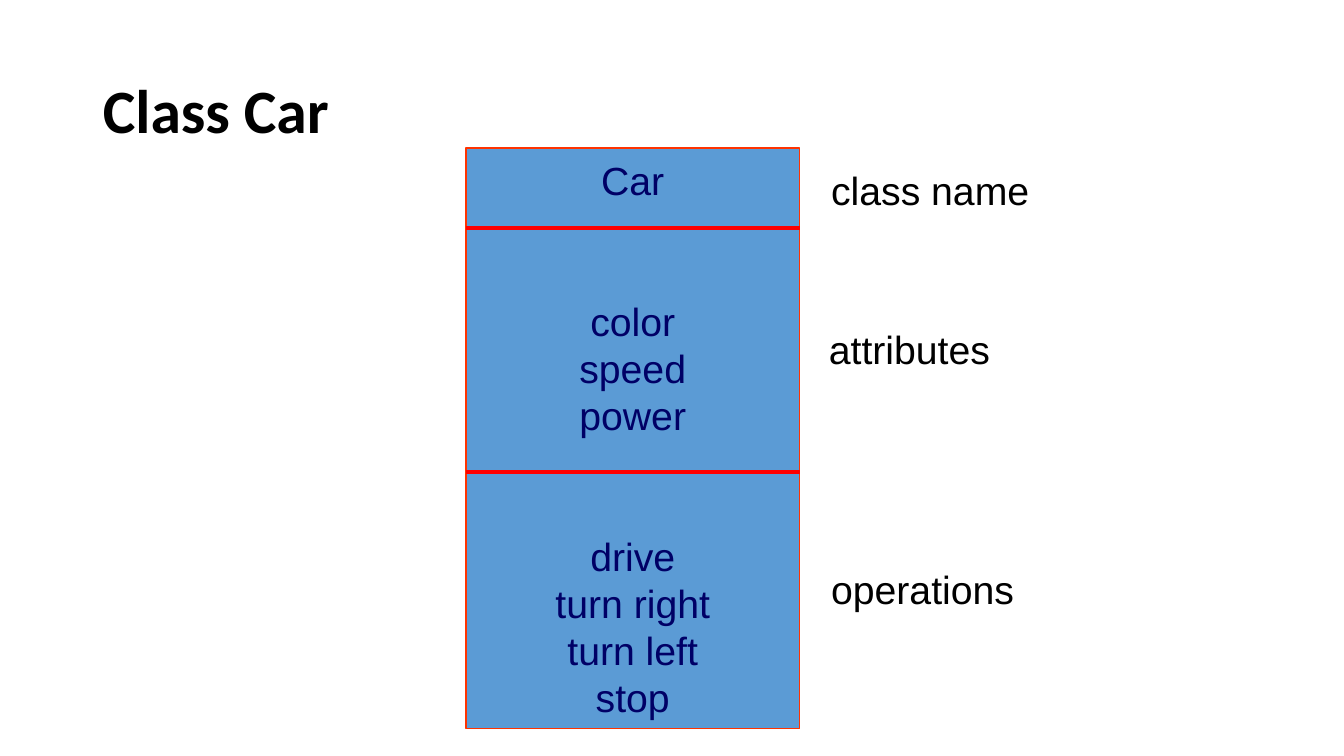
from pptx import Presentation
from pptx.dml.color import RGBColor
from pptx.enum.shapes import MSO_CONNECTOR, MSO_SHAPE
from pptx.enum.text import MSO_ANCHOR, PP_ALIGN
from pptx.oxml.ns import qn
from pptx.util import Inches, Pt
from lxml import etree

RECT, LINE = MSO_SHAPE.RECTANGLE, MSO_CONNECTOR.STRAIGHT
MIDDLE, LEFT, CENTER = MSO_ANCHOR.MIDDLE, PP_ALIGN.LEFT, PP_ALIGN.CENTER

TITLE = "Class Car"
PARTS = [
    ["Car"],
    ["color", "speed", "power"],
    ["drive", "turn right", "turn left", "stop"],
]
LABELS = [  # text, left, top, width
    ("class name", 8.13, 1.6, 2.19),
    ("attributes", 8.11, 3.18, 1.82),
    ("operations", 8.13, 5.56, 2.04),
]
RULES = [2.26, 4.68]
BOX = (4.62, 1.47, 3.31, 5.76)
PITCH = 33.6
GAP = 2 * PITCH
COLORS = {"fill": "5B9BD5", "edge": "FF3300", "rule": "FF0000",
          "navy": "000066", "black": "000000"}
HEAD = {"name": "Calibri", "size": Pt(44), "bold": True}
BODY = {"name": "Arial", "size": Pt(28), "bold": False}


def color(name):
    return RGBColor.from_string(COLORS[name])


def style(para, font, tint, align):
    for key, value in font.items():
        setattr(para.font, key, value)
    para.font.color.rgb = color(tint)
    para.alignment = align


def add_title(slide):
    title = slide.shapes.title
    title.left, title.top, title.width, title.height = map(
        Inches, (0.92, 0.4, 11.5, 1.45))
    frame = title.text_frame
    frame.text = TITLE
    frame.vertical_anchor = MIDDLE
    para = frame.paragraphs[0]
    style(para, HEAD, "black", LEFT)
    para.line_spacing = 0.9


def add_class(slide):
    box = slide.shapes.add_shape(RECT, *map(Inches, BOX))
    box.shadow.inherit = False
    box.fill.solid()
    box.fill.fore_color.rgb = color("fill")
    box.line.color.rgb = color("edge")
    box.line.width = Pt(1)
    frame = box.text_frame
    frame.vertical_anchor = MIDDLE
    for i, part in enumerate(PARTS):
        for j, text in enumerate(part):
            first = i == j == 0
            para = frame.paragraphs[0] if first else frame.add_paragraph()
            para.text = text
            style(para, BODY, "navy", CENTER)
            para.line_spacing = Pt(PITCH)
            if i and j == 0:
                para.space_before = Pt(GAP)


def add_rule(slide, y):
    left, _, width, _ = BOX
    rule = slide.shapes.add_connector(
        LINE, *map(Inches, (left, y, left + width, y)))
    rule.line.color.rgb = color("rule")
    rule.line.width = Pt(3)
    etree.SubElement(rule.element.spPr, qn("a:effectLst"))


def add_label(slide, text, left, top, width):
    label = slide.shapes.add_textbox(*map(Inches, (left, top, width, 0.57)))
    frame = label.text_frame
    frame.word_wrap = False
    frame.text = text
    style(frame.paragraphs[0], BODY, "black", CENTER)


def main():
    deck = Presentation()
    deck.slide_width, deck.slide_height = Inches(13.33), Inches(7.5)
    slide = deck.slides.add_slide(deck.slide_layouts[5])
    add_title(slide)
    add_class(slide)
    for y in RULES:
        add_rule(slide, y)
    for label in LABELS:
        add_label(slide, *label)
    deck.save("out.pptx")


if __name__ == "__main__":
    main()
